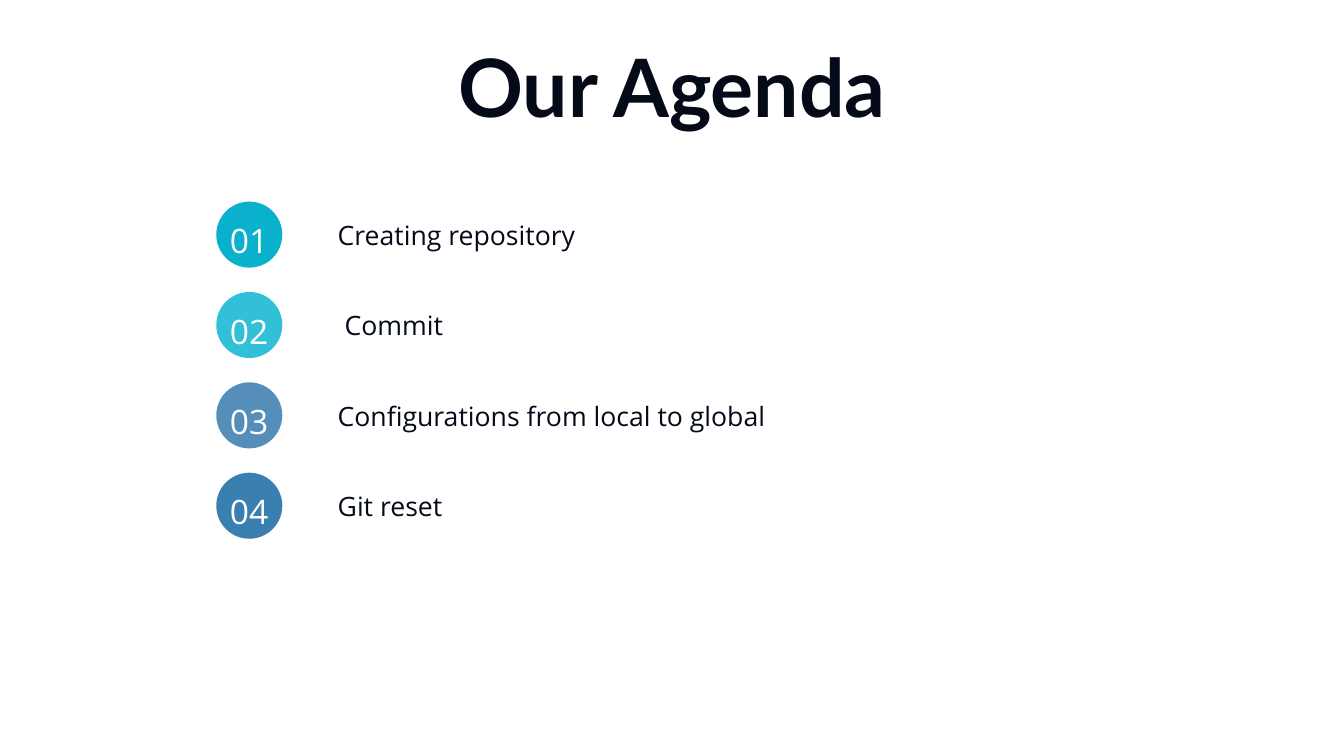
import pptx
import pptx.util
import pptx.dml.color
import pptx.enum.shapes
import pptx.enum.text
from dataclasses import dataclass

Pt = pptx.util.Pt
Color = pptx.dml.color.RGBColor.from_string
Align = pptx.enum.text.PP_ALIGN


@dataclass(frozen=True)
class Theme:
    ink: str = "050A19"
    white: str = "FFFFFF"
    circles: tuple = ("09B1CC", "32C0D8", "558EB9", "397FB0")
    heading_font: str = "Lato"
    body_font: str = "Open Sans"
    title_size: int = 115
    number_size: int = 48
    label_size: int = 38


theme = Theme()
presentation = pptx.Presentation()
presentation.slide_width = Pt(1920.24)
presentation.slide_height = Pt(1080)
slide = presentation.slides.add_slide(presentation.slide_layouts[6])
slide.background.fill.solid()
slide.background.fill.fore_color.rgb = Color(theme.white)


def add_text(text, *, left, top, width, height, size, font=theme.body_font,
             color=theme.ink, bold=False, align=Align.LEFT, spacing=1.0):
    box = slide.shapes.add_textbox(Pt(left), Pt(top), Pt(width), Pt(height))
    frame = box.text_frame
    frame.word_wrap = True
    frame.margin_left = frame.margin_right = Pt(0)
    frame.margin_top = frame.margin_bottom = Pt(0)
    paragraph = frame.paragraphs[0]
    paragraph.alignment = align
    paragraph.line_spacing = spacing
    run = paragraph.add_run()
    run.text = text
    run.font.name = font
    run.font.size = Pt(size)
    run.font.bold = bold
    run.font.color.rgb = Color(color)


add_text("Our Agenda", left=132, top=52.5, width=1656, height=91.5,
         size=theme.title_size, font=theme.heading_font, bold=True,
         align=Align.CENTER)

agenda = ["Creating repository", " Commit",
          "Configurations from local to global", "Git reset"]
first_top = 288
row_pitch = 129.1
diameter = 94.4

for index, (label, fill) in enumerate(zip(agenda, theme.circles)):
    top = first_top + index * row_pitch
    circle = slide.shapes.add_shape(
        pptx.enum.shapes.MSO_SHAPE.OVAL,
        Pt(309), Pt(top), Pt(diameter), Pt(diameter))
    circle.shadow.inherit = False
    circle.fill.solid()
    circle.fill.fore_color.rgb = Color(fill)
    circle.line.fill.background()
    add_text(f"{index + 1:02}", left=319, top=top + 15, width=74, height=70,
             size=theme.number_size, color=theme.white,
             align=Align.CENTER, spacing=1.2)
    add_text(label, left=482.4, top=top + 24.4, width=682, height=46,
             size=theme.label_size)

presentation.save("out.pptx")
